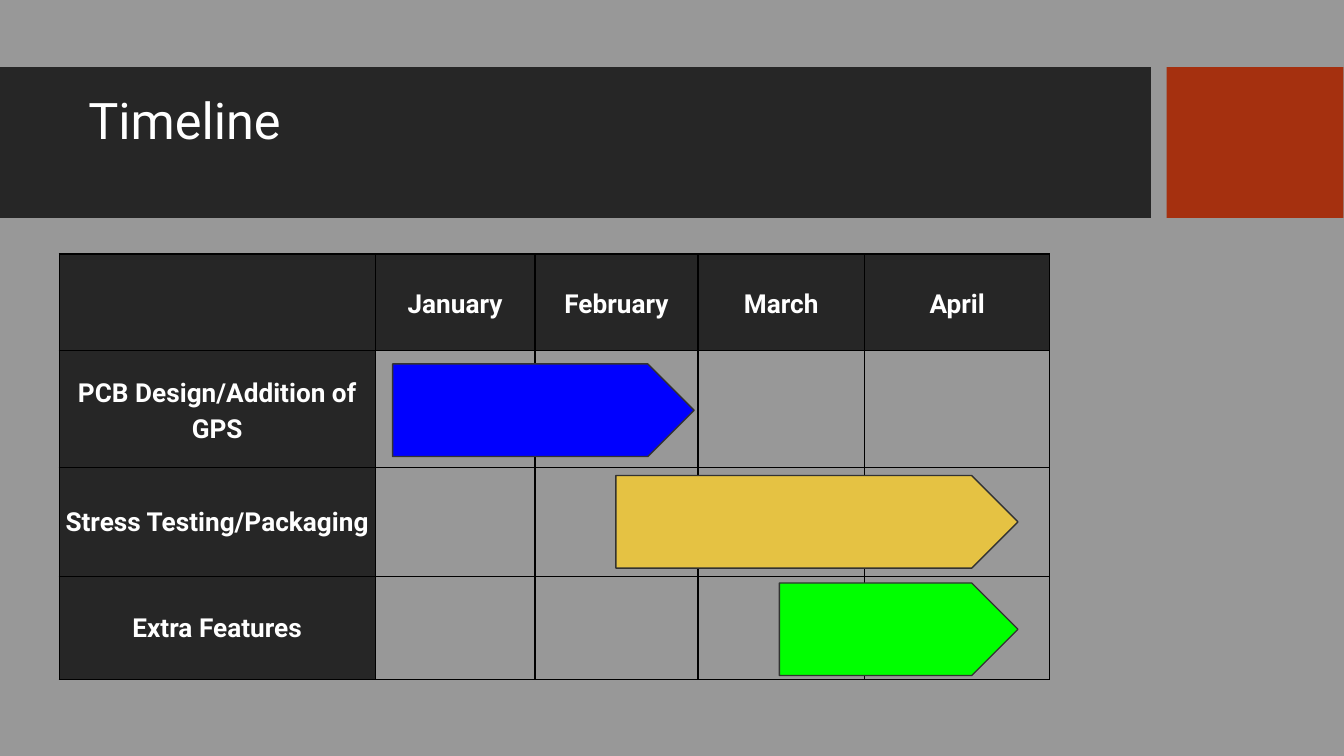
from lxml import etree
from pptx import Presentation
from pptx.dml.color import RGBColor
from pptx.enum.shapes import MSO_SHAPE
from pptx.enum.text import MSO_ANCHOR, PP_ALIGN
from pptx.oxml import parse_xml
from pptx.oxml.ns import nsdecls
from pptx.util import Cm, Pt

RECT, PENTAGON = MSO_SHAPE.RECTANGLE, MSO_SHAPE.PENTAGON
MIDDLE, CENTER = MSO_ANCHOR.MIDDLE, PP_ALIGN.CENTER
FONT = "Roboto"
COLORS = {
    "background": "989898", "dark": "262626", "accent": "A5300F",
    "white": "FFFFFF", "border": "000000", "outline": "323232",
    "blue": "0000FF", "yellow": "E5C243", "green": "00FF00", "gray": "999999",
}


def rgb(name):
    return RGBColor.from_string(COLORS[name])


def add_block(shape_type, left, top, width, height, fill, outline=None):
    sp = s.shapes.add_shape(shape_type, Cm(left), Cm(top), Cm(width), Cm(height))
    sp.shadow.inherit = False
    sp.fill.solid()
    sp.fill.fore_color.rgb = rgb(fill)
    if outline:
        sp.line.color.rgb = rgb(outline)
        sp.line.width = Pt(0.75)
    else:
        sp.line.fill.background()
    return sp


prs = Presentation()
prs.slide_width, prs.slide_height = Cm(25.4), Cm(14.29)
s = prs.slides.add_slide(prs.slide_layouts[6])
s.background.fill.solid()
s.background.fill.fore_color.rgb = rgb("background")

# Title band
add_block(RECT, 0, 1.27, 21.75, 2.85, "dark")
add_block(RECT, 22.05, 1.27, 3.34, 2.85, "accent")
tf = s.shapes.add_textbox(Cm(1.42), Cm(1.57), Cm(20.04), Cm(2.26)).text_frame
tf.word_wrap = True
tf.margin_left = tf.margin_right = tf.margin_top = tf.margin_bottom = Cm(0.25)
p = tf.paragraphs[0]
p.text = "Timeline"
p.line_spacing = 0.9
p.font.name, p.font.size = FONT, Pt(27)
p.font.color.rgb = rgb("white")

# Schedule table: months across, tasks down
months = ["January", "February", "March", "April"]
tasks = ["PCB Design/Addition of GPS", "Stress Testing/Packaging", "Extra Features"]
col_widths = [5.97, 3.02, 3.08, 3.15, 3.5]
row_heights = [1.83, 2.21, 2.06, 1.95]
table = s.shapes.add_table(
    len(row_heights), len(col_widths), Cm(1.12), Cm(4.8),
    Cm(sum(col_widths)), Cm(sum(row_heights))).table
table.first_row = table.horz_banding = False
for column, width in zip(table.columns, col_widths):
    column.width = Cm(width)
for row, height in zip(table.rows, row_heights):
    row.height = Cm(height)

labels = {(0, c): month for c, month in enumerate(months, 1)}
labels.update({(r, 0): task for r, task in enumerate(tasks, 1)})
for r in range(len(row_heights)):
    for c in range(len(col_widths)):
        cell = table.cell(r, c)
        if r == 0 or c == 0:
            cell.fill.solid()
            cell.fill.fore_color.rgb = rgb("dark")
        elif (r, c) == (2, 4):
            cell.fill.solid()
            cell.fill.fore_color.rgb = rgb("gray")
        else:
            cell.fill.background()
        # Borders come before the fill in the cell properties
        tc_pr = cell._tc.get_or_add_tcPr()
        for i, side in enumerate("LRTB"):
            ln = parse_xml(f'<a:ln{side} {nsdecls("a")} w="{Pt(0.75)}"/>')
            fill = etree.SubElement(ln, ln.tag.replace(f"ln{side}", "solidFill"))
            etree.SubElement(fill, fill.tag.replace("solidFill", "srgbClr"),
                             val=COLORS["border"])
            tc_pr.insert(i, ln)
        if (r, c) in labels:
            cell.vertical_anchor = MIDDLE
            cell.margin_left = cell.margin_right = Cm(0.08)
            cell.margin_top = cell.margin_bottom = Cm(0.05)
            p = cell.text_frame.paragraphs[0]
            p.text = labels[r, c]
            p.alignment = CENTER
            p.line_spacing = 1.15 if r < 2 else 1.0
            p.font.name, p.font.size, p.font.bold = FONT, Pt(14), True
            p.font.color.rgb = rgb("white")

# Task arrows
for left, top, width, color in [
    (7.42, 6.88, 5.7, "blue"),
    (11.64, 8.99, 7.6, "yellow"),
    (14.73, 11.02, 4.51, "green"),
]:
    sp = add_block(PENTAGON, left, top, width, 1.75, color, "outline")
    sp.adjustments[0] = 0.5

prs.save("out.pptx")
